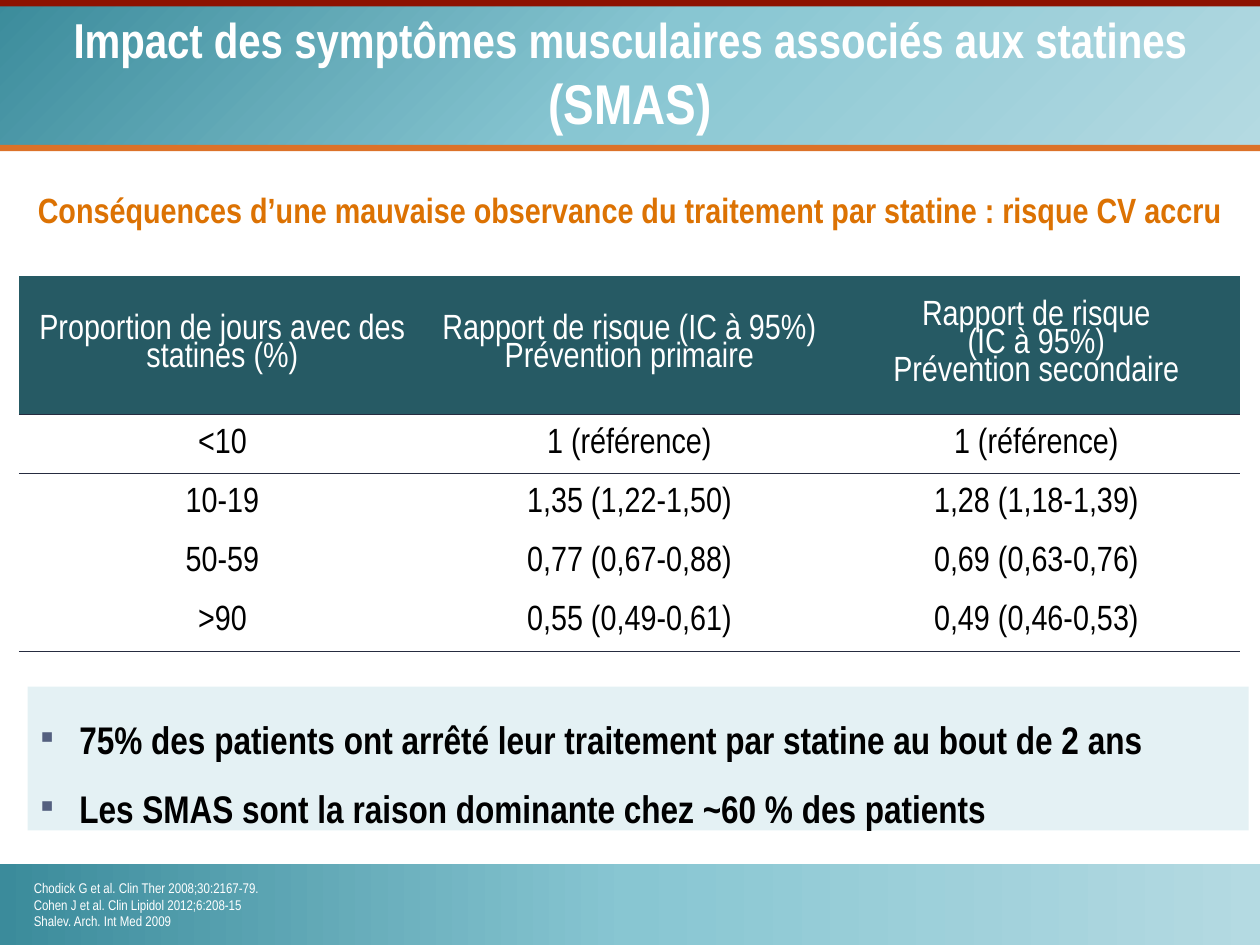
from lxml import etree
from pptx import Presentation
from pptx.dml.color import RGBColor
from pptx.enum.shapes import MSO_SHAPE
from pptx.enum.text import MSO_ANCHOR, MSO_AUTO_SIZE, PP_ALIGN
from pptx.oxml import parse_xml
from pptx.oxml.ns import nsdecls, qn
from pptx.util import Inches, Pt

COLORS = {
    "white": "FFFFFF", "black": "000000", "orange": "DC7203",
    "rule": "DC7229", "red": "8D1201", "header": "265A64",
    "border": "262C40", "panel": "E4F1F4", "bullet": "54607F",
}
BAND_STOPS = [(0, "3B8B9B"), (50, "88C6D2"), (100, "B4DAE2")]
LINEAR = '<a:lin ang="0" scaled="1"/>'
RADIAL = '<a:path path="circle"><a:fillToRect r="100000" b="100000"/></a:path>'
NO_STYLE_NO_GRID = "{2D5ABB26-0587-4C30-8999-92F81FD0307C}"

ROWS = [
    ["Proportion de jours avec des statines (%)",
     "Rapport de risque (IC à 95%) Prévention primaire",
     "Rapport de risque\n(IC à 95%)\nPrévention secondaire"],
    ["<10", "1 (référence)", "1 (référence)"],
    ["10-19", "1,35 (1,22-1,50)", "1,28 (1,18-1,39)"],
    ["50-59", "0,77 (0,67-0,88)", "0,69 (0,63-0,76)"],
    [">90", "0,55 (0,49-0,61)", "0,49 (0,46-0,53)"],
]


def rgb(name):
    return RGBColor.from_string(COLORS[name])


class SlideBuilder:
    """Holds the text style and the slide being filled."""

    font = "Arial Narrow"

    def __init__(self, slide):
        self.slide = slide

    def format_text(self, tf, size, color, bold=False, align=PP_ALIGN.LEFT, spacing=1.0):
        for p in tf.paragraphs:
            p.alignment = align
            p.line_spacing = spacing
            p.space_before = p.space_after = Pt(0)
            for r in p.runs:
                r.font.name = self.font
                r.font.size = Pt(size)
                r.font.bold = bold
                r.font.color.rgb = rgb(color)

    def rect(self, box, color=None, gradient=None):
        """Draw a rectangle with a plain colour or a gradient of the given direction."""
        sp = self.slide.shapes.add_shape(MSO_SHAPE.RECTANGLE, *map(Inches, box))
        sp.shadow.inherit = False
        sp.line.fill.background()
        if color:
            sp.fill.solid()
            sp.fill.fore_color.rgb = rgb(color)
        else:
            stops = "".join(
                f'<a:gs pos="{pos * 1000}"><a:srgbClr val="{value}"/></a:gs>'
                for pos, value in BAND_STOPS)
            sp.element.spPr.find(qn("a:prstGeom")).addnext(parse_xml(
                f'<a:gradFill {nsdecls("a")} rotWithShape="1">'
                f'<a:gsLst>{stops}</a:gsLst>{gradient}</a:gradFill>'))

    def text(self, box, text, size, color, **style):
        tf = self.slide.shapes.add_textbox(*map(Inches, box)).text_frame
        tf.word_wrap = True
        tf.text = text
        self.format_text(tf, size, color, **style)

    def place(self, sp, box, anchor):
        """Move a placeholder to its box, in front of what is already drawn."""
        sp.left, sp.top, sp.width, sp.height = map(Inches, box)
        sp.element.getparent().append(sp.element)
        tf = sp.text_frame
        tf.word_wrap = True
        tf.auto_size = MSO_AUTO_SIZE.NONE
        tf.vertical_anchor = anchor
        return tf

    def title(self, box, text, ending):
        tf = self.place(self.slide.shapes.title, box, MSO_ANCHOR.MIDDLE)
        tf.text = text
        p = tf.paragraphs[0]
        p.add_run().text = ending
        self.format_text(tf, 28, "white", bold=True, align=PP_ALIGN.CENTER)
        p.runs[-1].font.size = Pt(32)

    def bullets(self, box, items):
        sp = self.slide.placeholders[1]
        tf = self.place(sp, box, MSO_ANCHOR.TOP)
        sp.fill.solid()
        sp.fill.fore_color.rgb = rgb("panel")
        tf.text = "\n".join(items)
        self.format_text(tf, 22, "black", bold=True, spacing=1.5)
        indent = Inches(0.31)
        for p in tf.paragraphs:
            pPr = p._p.get_or_add_pPr()
            pPr.set("marL", str(indent))
            pPr.set("indent", str(-indent))
            color = etree.SubElement(pPr, qn("a:buClr"))
            etree.SubElement(color, qn("a:srgbClr"), val=COLORS["bullet"])
            etree.SubElement(pPr, qn("a:buFont"), typeface=self.font)
            etree.SubElement(pPr, qn("a:buChar"), char="▪")

    def border(self, cell, side):
        cell._tc.get_or_add_tcPr().insert(0, parse_xml(
            f'<a:{side} {nsdecls("a")} w="{Pt(1)}"><a:solidFill>'
            f'<a:srgbClr val="{COLORS["border"]}"/></a:solidFill></a:{side}>'))

    def table(self, box, rows, header_height, row_height):
        table = self.slide.shapes.add_table(
            len(rows), len(rows[0]), *map(Inches, box)).table
        table.horz_banding = False
        table._tbl.tblPr.find(qn("a:tableStyleId")).text = NO_STYLE_NO_GRID
        for i, values in enumerate(rows):
            header = i == 0
            table.rows[i].height = Inches(header_height if header else row_height)
            for cell, value in zip(table.rows[i].cells, values):
                cell.text = value
                cell.vertical_anchor = MSO_ANCHOR.MIDDLE
                self.format_text(cell.text_frame, 20, "white" if header else "black",
                                 align=PP_ALIGN.CENTER, spacing=0.85 if header else 1.0)
                if header:
                    cell.fill.solid()
                    cell.fill.fore_color.rgb = rgb("header")
                else:
                    cell.fill.background()
                if header or i == len(rows) - 1:
                    self.border(cell, "lnB")
                if i == 1:
                    self.border(cell, "lnT")


def main():
    prs = Presentation()
    prs.slide_width, prs.slide_height = Inches(10), Inches(7.5)
    b = SlideBuilder(prs.slides.add_slide(prs.slide_layouts[1]))

    b.rect((-0.02, -0.02, 10.02, 1.19), gradient=RADIAL)
    b.rect((-0.01, 1.15, 10.02, 0.05), "rule")
    b.rect((-0.01, 0, 10.02, 0.05), "red")
    b.rect((0, 6.86, 10, 0.64), gradient=LINEAR)

    b.title((0, 0.02, 10, 1.11),
            "Impact des symptômes musculaires associés aux statines ", "(SMAS)")
    b.text((0.17, 6.93, 9.54, 0.5),
           "Chodick G et al. Clin Ther 2008;30:2167-79.\n"
           "Cohen J et al. Clin Lipidol 2012;6:208-15\n"
           "Shalev. Arch. Int Med 2009", 8, "white")
    b.table((0.15, 2.19, 9.69, 2.98), ROWS, header_height=1.1, row_height=0.47)
    b.bullets((0.22, 5.45, 9.69, 1.14), [
        "75% des patients ont arrêté leur traitement par statine au bout de 2 ans",
        "Les SMAS sont la raison dominante chez ~60 % des patients"])
    b.text((0.17, 1.45, 9.66, 0.44),
           "Conséquences d’une mauvaise observance du traitement par statine : "
           "risque CV accru", 20, "orange", bold=True, align=PP_ALIGN.CENTER)

    prs.save("out.pptx")


if __name__ == "__main__":
    main()
